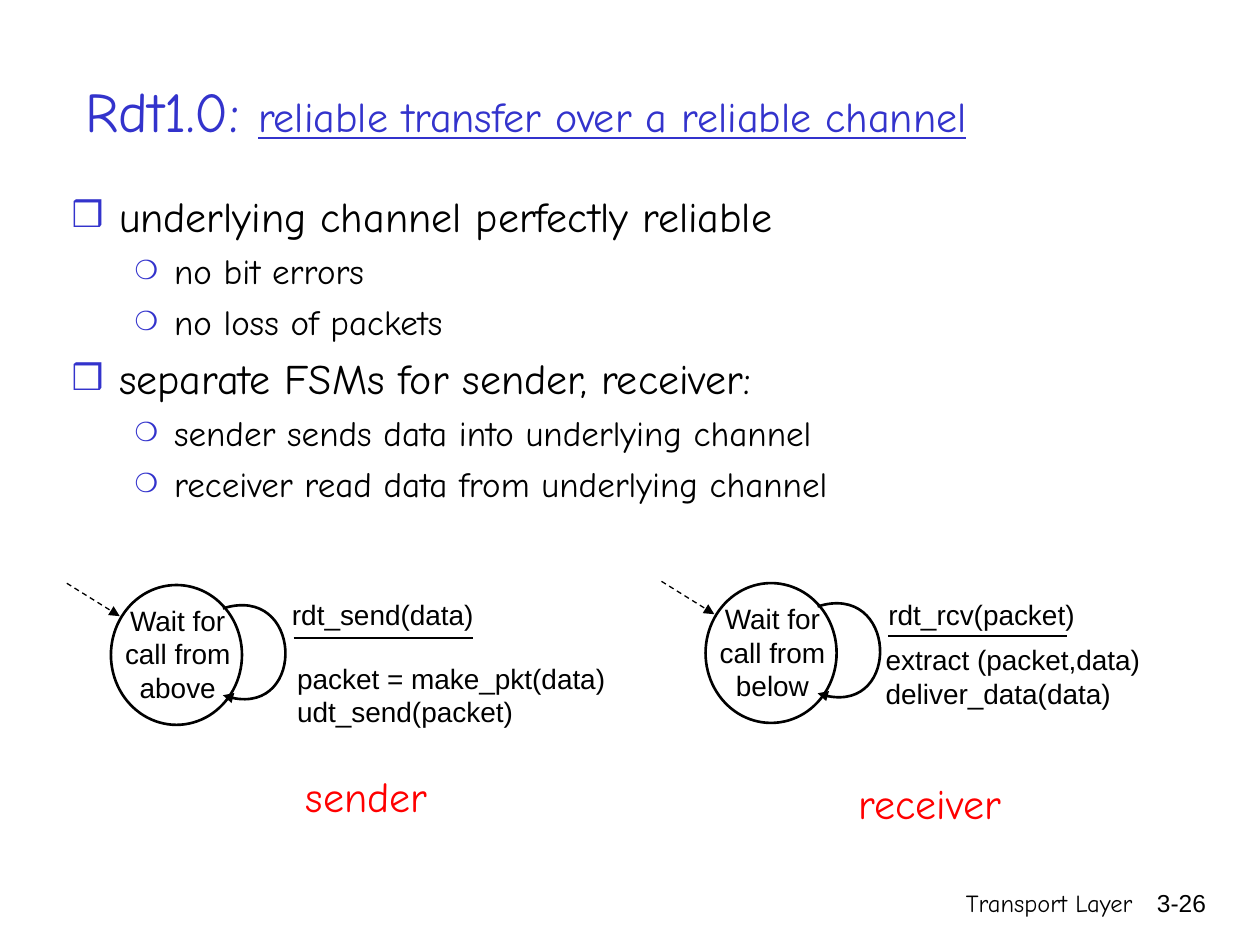
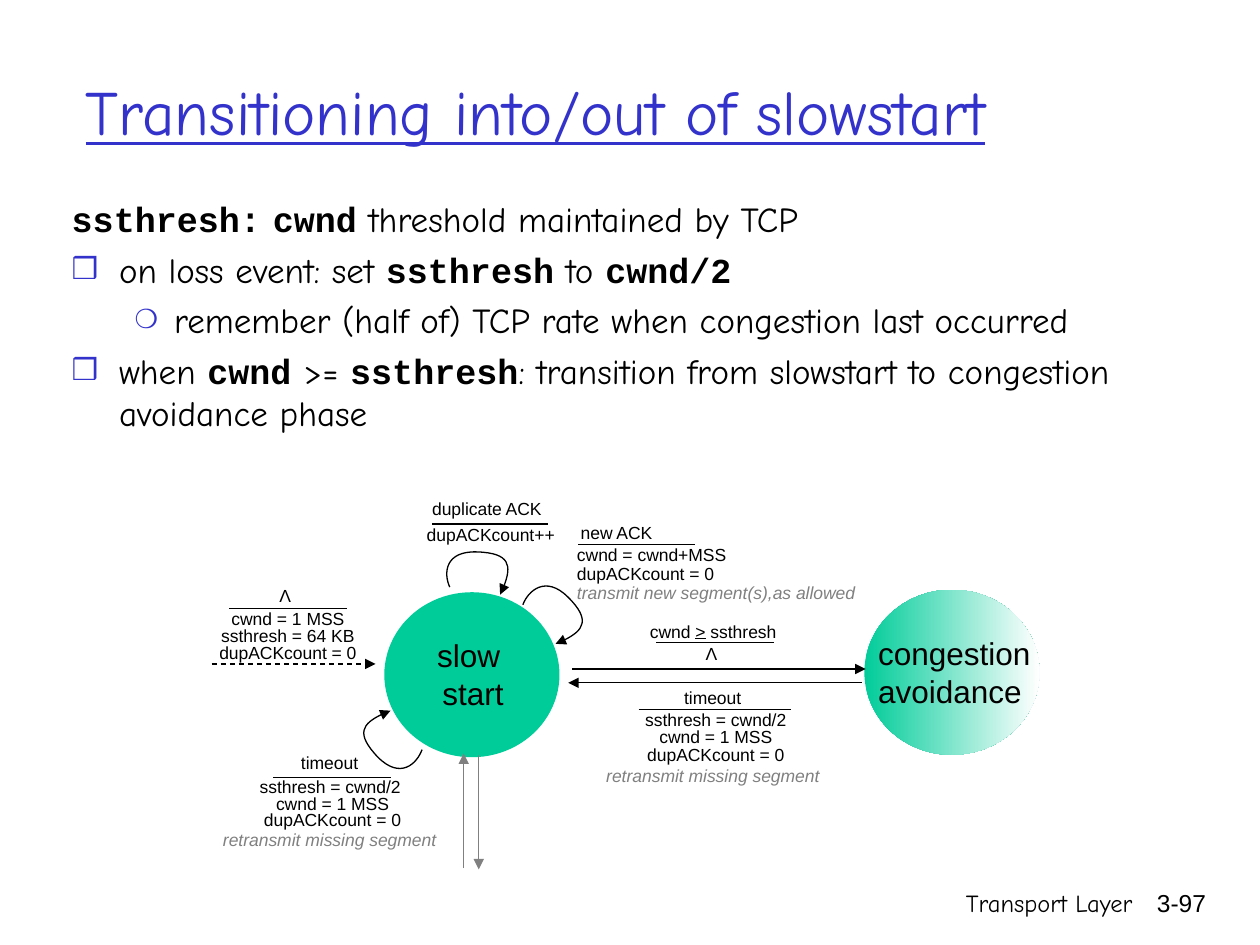
from dataclasses import dataclass
from typing import Optional

import pptx
import pptx.dml.color
import pptx.enum.dml
import pptx.enum.shapes
import pptx.enum.text
import pptx.oxml
import pptx.oxml.ns
import pptx.util
from lxml import etree

Pt = pptx.util.Pt
RGBColor = pptx.dml.color.RGBColor
Align = pptx.enum.text.PP_ALIGN
AutoSize = pptx.enum.text.MSO_AUTO_SIZE
qn = pptx.oxml.ns.qn

BLACK = RGBColor(0x00, 0x00, 0x00)
WHITE = RGBColor(0xFF, 0xFF, 0xFF)
BLUE = RGBColor(0x33, 0x33, 0xCC)
RED = RGBColor(0xFF, 0x00, 0x00)
GREEN = RGBColor(0x00, 0xCC, 0x99)
GRAY = RGBColor(0x80, 0x80, 0x80)

HAND = "Comic Neue"
SANS = "Arial"
MONO = "Courier New"

# Per list level: left margin, hanging indent, bullet, bullet size in percent
LEVELS = {0: (27, -27, "❒", 85), 1: (58.5, -22.5, "❍", 75)}


@dataclass
class Span:
    """A run of text; unset values come from the box it stands in."""
    text: str
    size: Optional[float] = None
    font: Optional[str] = None
    color: Optional[RGBColor] = None
    bold: bool = False
    italic: bool = False
    underline: bool = False


def code(text):
    return Span(text, font=MONO, bold=True)


# ---- Text ----

def add_spans(para, spans, size, font, color=BLACK):
    """Add a string, or a list of strings and spans, run by run."""
    for span in [spans] if isinstance(spans, str) else spans:
        if isinstance(span, str):
            span = Span(span)
        run = para.add_run()
        run.text = span.text
        run.font.size = Pt(span.size or size)
        run.font.name = span.font or font
        run.font.color.rgb = span.color or color
        run.font.bold = span.bold
        run.font.italic = span.italic
        run.font.underline = span.underline


def paragraphs(frame, lines):
    """Yield a paragraph of the frame for each line."""
    for index, line in enumerate(lines):
        yield (frame.add_paragraph() if index else frame.paragraphs[0]), line


def add_label(page, place, lines, size=10, font=SANS, color=BLACK,
              align=Align.LEFT, wrap=False, spacing=None):
    box = page.shapes.add_textbox(*map(Pt, place))
    frame = box.text_frame
    frame.word_wrap = wrap
    frame.auto_size = AutoSize.NONE if wrap else AutoSize.SHAPE_TO_FIT_TEXT
    for para, line in paragraphs(frame, lines):
        para.alignment = align
        if spacing:
            para.line_spacing = spacing
        add_spans(para, line, size, font, color)


def place_shape(shape, place):
    shape.left, shape.top, shape.width, shape.height = map(Pt, place)


def set_title(page, width, spans, size):
    title = page.shapes.title
    place_shape(title, (41.8, 18, width, 90))
    frame = title.text_frame
    frame.auto_size = AutoSize.NONE
    frame.vertical_anchor = pptx.enum.text.MSO_ANCHOR.MIDDLE
    frame.paragraphs[0].alignment = Align.LEFT
    add_spans(frame.paragraphs[0], spans, size, HAND, BLUE)


def set_bullet(para, level, bulleted):
    margin, indent, mark, percent = LEVELS[level]
    para.level = level
    properties = para._p.get_or_add_pPr()
    properties.set("marL", str(Pt(margin)))
    properties.set("indent", str(Pt(indent)))
    if not bulleted:
        etree.SubElement(properties, qn("a:buNone"))
        return
    color = etree.SubElement(properties, qn("a:buClr"))
    etree.SubElement(color, qn("a:srgbClr"), val=str(BLUE))
    etree.SubElement(properties, qn("a:buSzPct"), val=str(percent * 1000))
    etree.SubElement(properties, qn("a:buChar"), char=mark)


def set_list(page, place, items, sizes, gaps, plain_first=False):
    """Fill the body with (level, spans) items; sizes and gaps go by level."""
    body = page.placeholders[1]
    place_shape(body, place)
    frame = body.text_frame
    frame.auto_size = AutoSize.NONE
    for para, (level, spans) in paragraphs(frame, items):
        first = para._p is frame.paragraphs[0]._p
        set_bullet(para, level, not (first and plain_first))
        para.space_before = Pt(0 if first else gaps[level])
        add_spans(para, spans, sizes[level], HAND)


# ---- Lines and shapes ----

def style_line(shape, width, color=BLACK, arrow=False, dashed=False):
    shape.line.width = Pt(width)
    shape.line.color.rgb = color
    if dashed:
        shape.line.dash_style = pptx.enum.dml.MSO_LINE.DASH
    if arrow:
        etree.SubElement(shape.line._get_or_add_ln(), qn("a:tailEnd"),
                         type="triangle")


def add_line(page, start, end, width=0.75, **style):
    line = page.shapes.add_connector(
        pptx.enum.shapes.MSO_CONNECTOR.STRAIGHT, *map(Pt, start + end))
    style_line(line, width, **style)
    etree.SubElement(line._element.spPr, qn("a:effectLst"))


def add_rule(page, left, right, y, width=0.75):
    add_line(page, (left, y), (right, y), width)


def add_loop(page, points, width=0.75):
    """Draw an open arrow of Bezier curves: a start, then three points each."""
    builder = page.shapes.build_freeform(
        *(Pt(value) for value in points[0]), scale=1.0)
    builder.add_line_segments(
        [(Pt(x), Pt(y)) for x, y in points[1:]], close=False)
    loop = builder.convert_to_shape()
    loop.shadow.inherit = False
    loop.fill.background()
    style_line(loop, width, arrow=True)
    # Turn every three straight segments into one curve
    outline = next(loop._element.iter(qn("a:path")))
    segments = outline.findall(qn("a:lnTo"))
    for index in range(0, len(segments), 3):
        curve = etree.SubElement(outline, qn("a:cubicBezTo"))
        for segment in segments[index:index + 3]:
            curve.append(segment[0])
            outline.remove(segment)


def add_circle(page, place, fill=None):
    circle = page.shapes.add_shape(
        pptx.enum.shapes.MSO_SHAPE.OVAL, *map(Pt, place))
    circle.shadow.inherit = False
    circle.line.fill.background()
    if fill:
        circle.fill.solid()
        circle.fill.fore_color.rgb = fill
    return circle


# ---- Slides ----

def add_page(deck, number):
    """Add a slide with the shared footer."""
    page = deck.slides.add_slide(deck.slide_layouts[1])
    for place, text, font in (((426.2, 504, 228.2, 36), "Transport Layer", HAND),
                              ((643, 504, 53.3, 36), number, SANS)):
        add_label(page, place, [text], 14, font, align=Align.RIGHT, wrap=True)
    return page


def add_waiting_state(page, x, y, text):
    """Draw a state with its entry arrow, self loop and event rule."""
    circle = add_circle(page, (x, y, 74.9, 79.9), WHITE)
    style_line(circle, 1.5)
    add_label(page, (x - 5, y + 7, 86.4, 72), [text], 16,
              align=Align.CENTER, wrap=True)
    loop = ((64, 13.4), (109.4, -1), (112.3, 79.6), (64, 63))
    add_loop(page, [(x + dx, y + dy) for dx, dy in loop], 1.5)
    add_rule(page, x + 104.4, x + 206.6, y + 30.2, 1.5)
    add_line(page, (x - 25.2, y - 1), (x + 5, y + 17.8), arrow=True, dashed=True)


def build_reliable_channel(deck):
    page = add_page(deck, "3-26")
    set_title(page, 630, [
        "Rdt1.0: ",
        Span("reliable transfer over a reliable channel", 24, underline=True),
    ], 32)
    set_list(page, (33.8, 105.1, 622, 237.6), [
        (0, "underlying channel perfectly reliable"),
        (1, "no bit errors"),
        (1, "no loss of packets"),
        (0, "separate FSMs for sender, receiver:"),
        (1, "sender sends data into underlying channel"),
        (1, "receiver read data from underlying channel"),
    ], sizes=(24, 20), gaps=(6, 5))

    # Sender
    add_waiting_state(page, 63.4, 334.3, "Wait for call from above")
    add_label(page, (162.7, 374.4, 211, 46.8),
              ["packet = make_pkt(data)", "udt_send(packet)"], 16, wrap=True)
    add_label(page, (159.8, 337.7, 177.8, 33.8), ["rdt_send(data)"], 16, wrap=True)

    # Receiver
    add_waiting_state(page, 403.2, 333.2, "Wait for call from below")
    add_label(page, (499, 363.6, 195.8, 33.8),
              ["extract (packet,data)", "deliver_data(data)"], 16, wrap=True)
    add_label(page, (495.4, 337.7, 131, 26.6), ["rdt_rcv(packet)"], 16,
              align=Align.CENTER)

    for place, role in (((159.5, 437, 100, 36), "sender"),
                        ((476.3, 440.6, 110, 36), "receiver")):
        add_label(page, place, [role], 24, HAND, RED, Align.CENTER)


def build_slow_start(deck):
    page = add_page(deck, "3-97")
    set_title(page, 612, [
        Span("Transitioning into/out of slowstart", underline=True)], 36)
    set_list(page, (33.8, 109.4, 686.2, 365.8), [
        (0, [code("ssthresh:"), " ", code("cwnd"), " threshold maintained by TCP"]),
        (0, ["on loss event: set ", code("ssthresh"), " to ", code("cwnd/2")]),
        (1, "remember (half of) TCP rate when congestion last occurred"),
        (0, ["when ", code("cwnd"), " >= ", code("ssthresh"),
             ": transition from slowstart to congestion avoidance phase"]),
    ], sizes=(20, 20), gaps=(5, 4.5), plain_first=True)

    # States
    add_circle(page, (219.6, 338.4, 100.1, 94.3), GREEN)
    add_label(page, (235.3, 360, 70, 50.4), ["slow ", "start"], 18,
              align=Align.CENTER)
    congestion = add_circle(page, (493.9, 337, 100.1, 94.3))
    congestion.fill.gradient()
    congestion.fill.gradient_angle = 0
    for stop, color in zip(congestion.fill.gradient_stops, (GREEN, WHITE)):
        stop.color.rgb = color
    add_label(page, (490.3, 358.6, 110, 50.4), ["congestion", "avoidance "], 18,
              align=Align.CENTER)

    # Events above the rules
    for place, event in (
            ((383.8, 388.8, 60, 19.4), "timeout"),
            ((164.9, 426.2, 60, 19.4), "timeout"),
            ((364.3, 351.4, 100, 19.4), "cwnd > ssthresh"),
            ((324.7, 294.5, 70, 19.4), "new ACK"),
            ((239.8, 280.8, 90, 19.4), "duplicate ACK"),
            ((152.6, 330.5, 30, 19.4), "Λ")):
        add_label(page, place, [event])

    # Rules, the short one completing the "at least" sign
    for left, right, y in ((365, 452.2, 405.4), (156.2, 223.2, 444.2),
                           (375.1, 442.1, 367.2), (397.4, 403.2, 365),
                           (330.5, 397.4, 311), (247, 313.2, 299.5),
                           (131, 198, 347.8)):
        add_rule(page, left, right, y)

    # Actions below the rules
    retransmit = [Span("retransmit missing segment", color=GRAY, italic=True),
                  Span(" ", 12)]
    reset = ["cwnd = 1 MSS", "dupACKcount = 0", retransmit]
    for place, spacing, actions in (
            ((334, 403.2, 150, 50.4), 0.85, ["ssthresh = cwnd/2"] + reset),
            ((115, 442.1, 150, 47.5), 0.8, ["ssthresh = cwnd/2 "] + reset),
            ((391.5, 366.5, 30, 17.3), 0.8, ["Λ"]),
            ((230.4, 298.1, 100, 17.3), 0.8, ["dupACKcount++"]),
            ((114.5, 346.3, 100, 36), 0.8,
             ["cwnd = 1 MSS", "ssthresh = 64 KB", "dupACKcount = 0"])):
        add_label(page, place, actions, align=Align.CENTER, spacing=spacing)
    add_label(page, (322.6, 308.9, 190, 49.7), [
        "cwnd = cwnd+MSS", "dupACKcount = 0",
        [Span("transmit new segment(s),as allowed", color=GRAY, italic=True)],
    ], spacing=0.9)

    # Self loops of slow start
    add_loop(page, [(257, 335.5), (253.4, 327.6), (254.2, 314.6), (272.9, 315.4),
                    (291.6, 316.1), (293, 325.4), (285.8, 339.8)])
    add_loop(page, [(298.8, 345.6), (301.7, 337.7), (311.8, 328.3), (324.7, 341.3),
                    (337.7, 354.2), (332.6, 362.2), (317.5, 367.9)])
    add_loop(page, [(241.2, 428.4), (238.3, 436.3), (229, 445.7), (216, 432.7),
                    (203, 419), (208.1, 411.8), (223.2, 406.1)])

    # Arrows between states
    add_line(page, (492.5, 390.2), (324.7, 390.2), arrow=True)
    add_line(page, (326.9, 382.3), (494.6, 382.3), arrow=True)
    add_line(page, (121, 379.4), (214.6, 379.4), arrow=True, dashed=True)
    add_line(page, (273.6, 431.3), (273.6, 496.8), color=GRAY, arrow=True)
    add_line(page, (265, 496.1), (265, 430.6), color=GRAY, arrow=True)


def main():
    deck = pptx.Presentation()
    deck.slide_width, deck.slide_height = Pt(720), Pt(540)
    build_reliable_channel(deck)
    build_slow_start(deck)
    deck.save("out.pptx")


if __name__ == "__main__":
    main()
